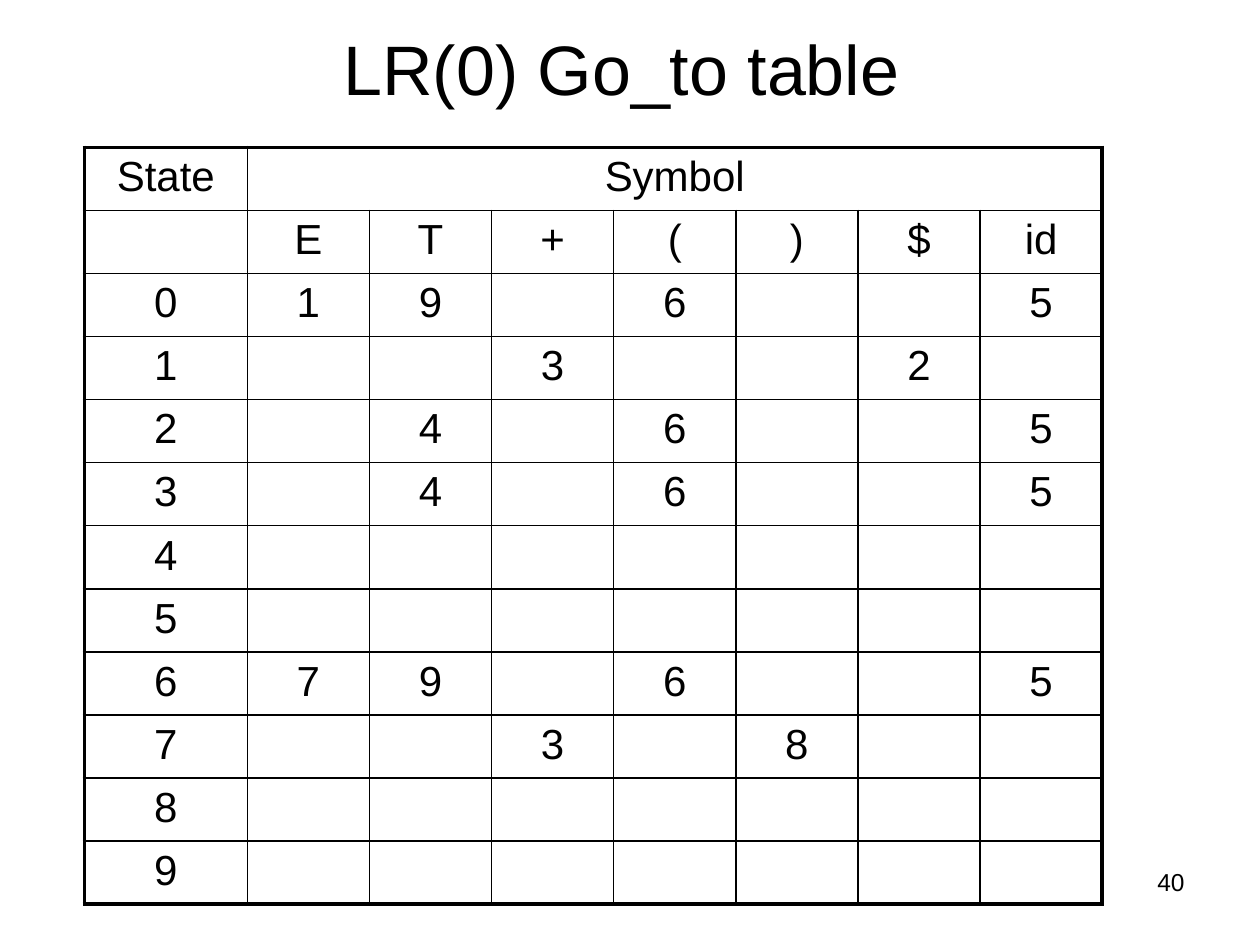
from lxml.etree import SubElement
from pptx import Presentation
from pptx.dml.color import RGBColor
from pptx.enum.text import MSO_ANCHOR, MSO_AUTO_SIZE, PP_ALIGN
from pptx.oxml.ns import qn
from pptx.util import Inches, Pt

COLORS = {"ink": "000000"}
FONT = "Arial"
THIN, THICK = 1, 2.25
SYMBOLS = ["E", "T", "+", "(", ")", "$", "id"]
GO_TO = [
    {"E": 1, "T": 9, "(": 6, "id": 5},
    {"+": 3, "$": 2},
    {"T": 4, "(": 6, "id": 5},
    {"T": 4, "(": 6, "id": 5},
    {},
    {},
    {"E": 7, "T": 9, "(": 6, "id": 5},
    {"+": 3, ")": 8},
    {},
    {},
]


def write(frame, text, size, align):
    frame.text = text
    paragraph = frame.paragraphs[0]
    paragraph.alignment = align
    for run in paragraph.runs:
        run.font.size = Pt(size)
        run.font.name = FONT
        run.font.color.rgb = RGBColor.from_string(COLORS["ink"])


def set_borders(cell, widths):
    properties = cell._tc.get_or_add_tcPr()
    for side in "LRTB":
        border = SubElement(properties, qn(f"a:ln{side}"), w=str(Pt(widths[side])))
        fill = SubElement(border, qn("a:solidFill"))
        SubElement(fill, qn("a:srgbClr"), val=COLORS["ink"])


def add_heading(slide, box):
    heading = slide.shapes.title
    heading.left, heading.top, heading.width, heading.height = box
    frame = heading.text_frame
    frame.auto_size = MSO_AUTO_SIZE.NONE
    frame.vertical_anchor = MSO_ANCHOR.BOTTOM
    write(frame, "LR(0) Go_to table ", 40, PP_ALIGN.CENTER)


def add_go_to_table(slide, box):
    entries = [["State", "Symbol"] + [""] * (len(SYMBOLS) - 1), [""] + SYMBOLS]
    for state, moves in enumerate(GO_TO):
        entries.append([str(state)] + [str(moves.get(symbol, "")) for symbol in SYMBOLS])
    last_row, last_column = len(entries) - 1, len(SYMBOLS)

    left, top, width, height = box
    table = slide.shapes.add_table(last_row + 1, last_column + 1, *box).table
    table.first_row = table.horz_banding = False
    state_width = int(width * 0.16)
    for index, column in enumerate(table.columns):
        column.width = (width - state_width) // last_column if index else state_width
    for row in table.rows:
        row.height = height // len(entries)
    table.cell(0, 1).merge(table.cell(0, last_column))

    for r, line in enumerate(entries):
        for c, entry in enumerate(line):
            cell = table.cell(r, c)
            right_edge = c == last_column or (r == 0 and c > 0)
            set_borders(cell, {
                "L": THIN if c else THICK,
                "R": THICK if right_edge else THIN,
                "T": THIN if r else THICK,
                "B": THICK if r == last_row else THIN,
            })
            cell.fill.background()
            if entry:
                write(cell.text_frame, entry, 24, PP_ALIGN.CENTER)


def add_page_number(slide, box):
    frame = slide.shapes.add_textbox(*box).text_frame
    frame.word_wrap = True
    write(frame, "40", 14, PP_ALIGN.RIGHT)


def main():
    deck = Presentation()
    deck.slide_width, deck.slide_height = Inches(10), Inches(7.5)
    slide = deck.slides.add_slide(deck.slide_layouts[5])
    add_page_number(slide, (Inches(7.17), Inches(6.83), Inches(2.33), Inches(0.52)))
    add_heading(slide, (Inches(0.51), Inches(0.28), Inches(9), Inches(0.64)))
    add_go_to_table(slide, (Inches(0.67), Inches(1.17), Inches(8.08), Inches(6)))
    deck.save("out.pptx")


if __name__ == "__main__":
    main()
